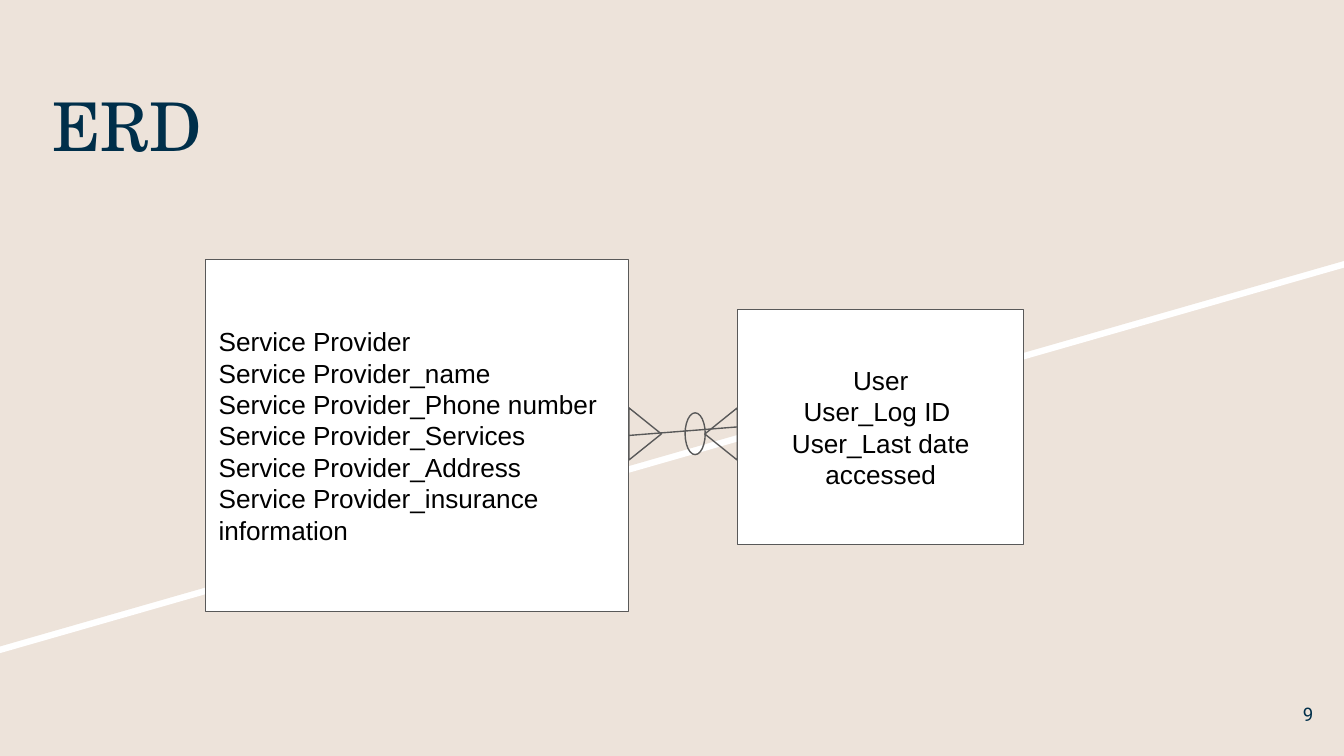
from dataclasses import dataclass

from lxml.etree import SubElement
from pptx import Presentation
from pptx.dml.color import RGBColor
from pptx.enum.shapes import MSO_CONNECTOR, MSO_SHAPE
from pptx.enum.text import MSO_ANCHOR, PP_ALIGN
from pptx.oxml.ns import qn
from pptx.util import Pt

HUES = {"sand": "EDE3DA", "white": "FFFFFF", "navy": "002F4A",
        "grey": "595959", "black": "000000"}
WIDE, HIGH = 720, 405


@dataclass
class Style:
    font: str
    size: float
    hue: str
    align: PP_ALIGN = PP_ALIGN.LEFT
    anchor: MSO_ANCHOR = MSO_ANCHOR.MIDDLE


@dataclass
class Entity:
    left: float
    top: float
    width: float
    height: float
    align: PP_ALIGN
    lines: list[str]


@dataclass
class Mark:
    kind: MSO_SHAPE
    left: float
    top: float
    width: float
    height: float
    turn: float = 0


ENTITIES = [
    Entity(110, 139, 226.8, 188.6, PP_ALIGN.LEFT, [
        "Service Provider", "Service Provider_name",
        "Service Provider_Phone number", "Service Provider_Services",
        "Service Provider_Address", "Service Provider_insurance information"]),
    Entity(395.2, 165.7, 153.2, 126, PP_ALIGN.CENTER,
           ["User", "User_Log ID ", "User_Last date accessed"]),
]
MARKS = [
    Mark(MSO_SHAPE.ISOSCELES_TRIANGLE, 372.3, 223.8, 28, 17.4, 270),
    Mark(MSO_SHAPE.OVAL, 367, 221.2, 10.8, 22.4),
    Mark(MSO_SHAPE.ISOSCELES_TRIANGLE, 331.6, 223.8, 28, 17.4, 90),
]


def tint(name: str) -> RGBColor:
    return RGBColor.from_string(HUES[name])


def place(shape, left: float, top: float, width: float, height: float) -> None:
    shape.left, shape.top = Pt(left), Pt(top)
    shape.width, shape.height = Pt(width), Pt(height)


def write(frame, lines: list[str], style: Style) -> None:
    frame.word_wrap = True
    frame.vertical_anchor = style.anchor
    frame.margin_left = frame.margin_right = Pt(7.2)
    frame.margin_top = frame.margin_bottom = Pt(7.2)
    for i, line in enumerate(lines):
        para = frame.paragraphs[0] if i == 0 else frame.add_paragraph()
        para.alignment = style.align
        run = para.add_run()
        run.text = line
        run.font.name = style.font
        run.font.size = Pt(style.size)
        run.font.color.rgb = tint(style.hue)


def rule(line) -> None:
    line.color.rgb = tint("grey")
    line.width = Pt(0.75)


def draw_band(slide, top: float, hue: str) -> None:
    pen = slide.shapes.build_freeform(Pt(0), Pt(top))
    pen.add_line_segments([(Pt(WIDE), Pt(top)), (Pt(WIDE), Pt(top + 139.8)),
                           (Pt(0), Pt(top + 346.3))], close=True)
    band = pen.convert_to_shape()
    band.shadow.inherit = False
    band.fill.solid()
    band.fill.fore_color.rgb = tint(hue)
    band.line.fill.background()
    slide.shapes.title._element.addprevious(band._element)


def draw_box(slide, item: Entity):
    box = slide.shapes.add_shape(
        MSO_SHAPE.RECTANGLE, Pt(item.left), Pt(item.top),
        Pt(item.width), Pt(item.height))
    box.shadow.inherit = False
    box.fill.solid()
    box.fill.fore_color.rgb = tint("white")
    rule(box.line)
    write(box.text_frame, item.lines, Style("Arial", 14, "black", item.align))
    return box


def draw_mark(slide, mark: Mark) -> None:
    shape = slide.shapes.add_shape(
        mark.kind, Pt(mark.left), Pt(mark.top), Pt(mark.width), Pt(mark.height))
    shape.shadow.inherit = False
    shape.fill.background()
    rule(shape.line)
    shape.rotation = mark.turn


def join(slide, start, end) -> None:
    link = slide.shapes.add_connector(MSO_CONNECTOR.STRAIGHT, 0, 0, 0, 0)
    link.begin_connect(start, 3)
    link.end_connect(end, 1)
    rule(link.line)
    SubElement(link._element.spPr, qn("a:effectLst"))


def main() -> None:
    deck = Presentation()
    deck.slide_width, deck.slide_height = Pt(WIDE), Pt(HIGH)
    slide = deck.slides.add_slide(deck.slide_layouts[5])
    back = slide.background.fill
    back.solid()
    back.fore_color.rgb = tint("sand")

    draw_band(slide, 3.6, "white")
    draw_band(slide, 0, "sand")

    title = slide.shapes.title
    place(title, 20.9, 38.2, 671, 100.8)
    write(title.text_frame, ["ERD"],
          Style("TeX Gyre Schola", 36, "navy", anchor=MSO_ANCHOR.TOP))

    owner, user = [draw_box(slide, item) for item in ENTITIES]
    join(slide, owner, user)
    for mark in MARKS:
        draw_mark(slide, mark)

    page = slide.shapes.add_textbox(Pt(667.4), Pt(367.2), Pt(43.2), Pt(31))
    write(page.text_frame, ["9"], Style("Roboto", 10, "navy", PP_ALIGN.RIGHT))
    deck.save("out.pptx")


if __name__ == "__main__":
    main()
